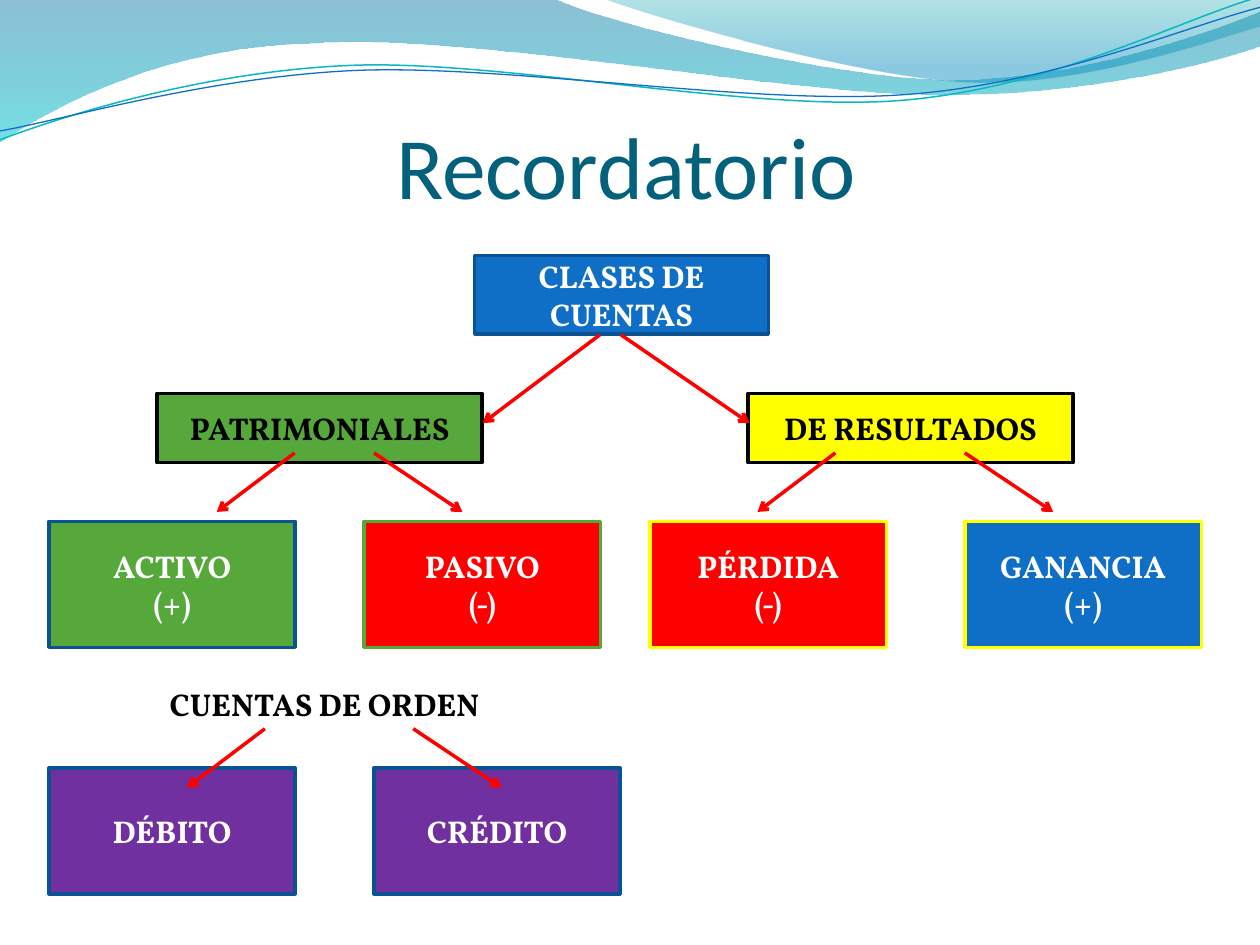
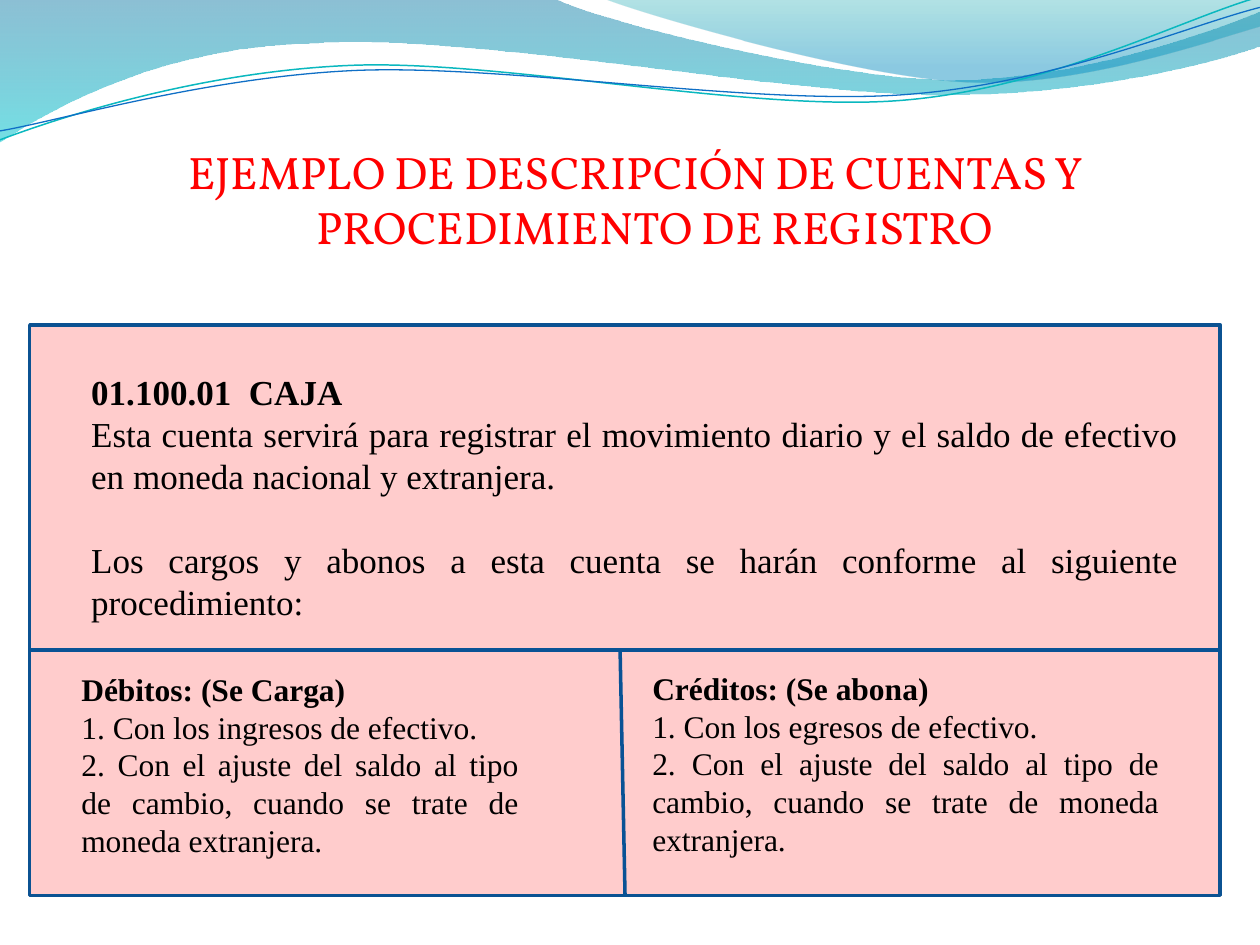
"""Build two slides on classes of accounts and how to record them."""
import lxml.etree
import pptx
import pptx.dml.color
import pptx.enum.shapes
import pptx.enum.text
import pptx.oxml.ns
import pptx.util

COLORS = {
    "title": "04617B", "blue": "0F6FC6", "navy": "0B5292", "divider": "095295",
    "green": "55A839", "yellow": "FFFF00", "red": "FF0000", "purple": "7030A0",
    "pink": "FFCCCC", "black": "000000", "white": "FFFFFF", "teal": "0AB8BF",
    "band_top": "0074A1", "band_bottom": "00C6CF",
    "crest_top": "00A1A9", "crest_bottom": "008BBF",
}
SERIF, CHART_FONT = "Times New Roman", "Vollkorn"
ALIGN = pptx.enum.text.PP_ALIGN
ANCHOR = pptx.enum.text.MSO_ANCHOR

BAND = [(0, 0), (11.18, -0.03), (12.09, 0.43, 16.87, 1.6, 19.25, 1.6),
        (21.67, 1.6, 24.33, 0.66, 25.4, 0.23), (25.43, 0.91),
        (24.97, 1.12, 22.1, 1.93, 18.95, 1.91), (15.8, 1.91, 9.7, 0.71, 6.53, 0.86),
        (3.28, 0.91, 1.17, 2.11, -0.03, 2.87)]
CREST = [(12.17, -0.03), (12.93, 0.28, 17.32, 1.57, 19.53, 1.65),
         (21.74, 1.75, 24.41, 0.81, 25.4, 0.53), (25.4, 0)]
TEAL_WAVE = [(0, 2.82), (1.22, 2.36, 4.01, 1.45, 7.04, 1.32),
             (10.03, 1.19, 15.06, 2.26, 18.11, 2.03), (21.16, 1.8, 23.83, 0.38, 25.35, -0.05)]
BLUE_WAVE = [(0, 2.64), (1.19, 2.44, 4.17, 1.55, 7.19, 1.42),
             (10.24, 1.3, 15.16, 2.13, 18.21, 1.91), (21.23, 1.7, 23.9, 0.53, 25.4, 0.15)]


def rgb(name):
    """Return the named colour."""
    return pptx.dml.color.RGBColor.from_string(COLORS[name])


def cm(*lengths):
    """Return the lengths converted from centimetres."""
    return [pptx.util.Cm(length) for length in lengths]


def add_xml(parent, tag, **attributes):
    """Append a child element with attributes."""
    return lxml.etree.SubElement(parent, pptx.oxml.ns.qn(tag), attributes)


def place(item, left, top, width, height):
    """Move and size a placeholder."""
    item.left, item.top, item.width, item.height = cm(left, top, width, height)


def write(frame, *texts, size=18, font=CHART_FONT, color="black", bold=True,
          lead_bold=False, align=ALIGN.CENTER):
    """Fill a text frame with paragraphs of one format and return them."""
    frame.text = "\n".join(texts)
    for number, paragraph in enumerate(frame.paragraphs):
        paragraph.alignment = align
        style = paragraph.runs[0].font
        style.name, style.size = font, pptx.util.Pt(size)
        style.bold = bold or (lead_bold and number == 0)
        style.color.rgb = rgb(color)
    return frame.paragraphs


def add_box(slide, place_cm, *texts, fill, edge="navy", color="white"):
    """Draw an outlined rectangle with centred text."""
    box = slide.shapes.add_shape(pptx.enum.shapes.MSO_SHAPE.RECTANGLE, *cm(*place_cm))
    box.shadow.inherit = False
    box.fill.solid()
    box.fill.fore_color.rgb = rgb(fill)
    box.line.color.rgb = rgb(edge)
    box.line.width = pptx.util.Pt(2)
    if texts:
        box.text_frame.vertical_anchor = ANCHOR.MIDDLE
        write(box.text_frame, *texts, color=color)


def add_text(slide, place_cm, *texts, wrap=True, **text_format):
    """Add a text box and return its paragraphs."""
    frame = slide.shapes.add_textbox(*cm(*place_cm)).text_frame
    frame.word_wrap = wrap
    return write(frame, *texts, **text_format)


def add_line(slide, ends, color, arrow=False):
    """Draw a straight line, with an arrowhead at its end if asked."""
    line = slide.shapes.add_connector(pptx.enum.shapes.MSO_CONNECTOR.STRAIGHT, *cm(*ends))
    line.line.color.rgb = rgb(color)
    line.line.width = pptx.util.Pt(2)
    properties = line.element.spPr
    if arrow:
        add_xml(properties.find(pptx.oxml.ns.qn("a:ln")), "a:tailEnd", type="arrow")
    add_xml(properties, "a:effectLst")


def add_fork(slide, left, right, top):
    """Draw a pair of arrows that spread downwards."""
    for start, spread in ((left, -1.57), (right, 1.78)):
        add_line(slide, (start, top, start + spread, top + 1.19), "red", arrow=True)


def add_outline(slide, outline, close):
    """Draw a freeform of straight and cubic segments without shadow."""
    nodes = [cm(*segment[-2:]) for segment in outline]
    builder = slide.shapes.build_freeform(*nodes[0], scale=1.0)
    builder.add_line_segments(nodes[1:], close=close)
    curve = builder.convert_to_shape()
    curve.shadow.inherit = False
    sides = list(curve.element.spPr.iter(pptx.oxml.ns.qn("a:lnTo")))
    for side, segment in zip(sides, outline[1:]):
        if len(segment) == 6:
            side.tag = pptx.oxml.ns.qn("a:cubicBezTo")
            end = side[0]
            for x, y in (cm(*segment[:2]), cm(*segment[2:4])):
                add_xml(side, "a:pt", x=str(x - curve.left), y=str(y - curve.top))
            side.append(end)
    return curve


def add_gradient_wave(slide, outline, stops):
    """Draw a filled wave whose stops are (position, colour, opacity)."""
    wave = add_outline(slide, outline, True)
    wave.line.fill.background()
    wave.fill.gradient()
    wave.fill.gradient_angle = 270
    for stop, (position, color, _) in zip(wave.fill.gradient_stops, stops):
        stop.position = position
        stop.color.rgb = rgb(color)
    tints = wave.element.spPr.iter(pptx.oxml.ns.qn("a:srgbClr"))
    for tint, (_, _, opacity) in zip(list(tints), stops):
        add_xml(tint, "a:alpha", val=str(opacity * 1000))
    return wave


def add_line_wave(slide, outline, color, width):
    """Draw an open wavy line."""
    wave = add_outline(slide, outline, False)
    wave.fill.background()
    wave.line.color.rgb = rgb(color)
    wave.line.width = pptx.util.Pt(width)
    return wave


def decorate_master(master, slide):
    """Draw the waves and move them behind everything on the master."""
    waves = [
        add_gradient_wave(slide, BAND, [(0, "band_top", 45), (1, "band_bottom", 55)]),
        add_gradient_wave(slide, CREST, [(0, "crest_top", 30), (0.8, "crest_bottom", 45)]),
        add_line_wave(slide, TEAL_WAVE, "teal", 0.85),
        add_line_wave(slide, BLUE_WAVE, "blue", 0.75),
    ]
    for number, wave in enumerate(waves):
        wave.element.nvSpPr.cNvPr.set("id", str(100 + number))
        master.element.cSld.spTree.insert(2 + number, wave.element)


def build_reminder(slide):
    """Fill the slide with the tree of account classes."""
    title = slide.shapes.title
    place(title, 1.19, 1.19, 22.86, 3.18)
    frame = title.text_frame
    frame.auto_size = pptx.enum.text.MSO_AUTO_SIZE.NONE
    frame.vertical_anchor = ANCHOR.BOTTOM
    frame.margin_left, frame.margin_top, frame.margin_right, frame.margin_bottom = cm(0, 0.13, 0, 0)
    write(frame, "Recordatorio", size=50, font="Calibri", color="title", bold=False)

    add_box(slide, (9.57, 5.15, 5.92, 1.59), "CLASES DE CUENTAS", fill="blue")
    for left, name, fill in ((3.17, "PATRIMONIALES", "green"), (15.08, "DE RESULTADOS", "yellow")):
        add_box(slide, (left, 7.93, 6.55, 1.4), name, fill=fill, edge="black", color="black")
    for left, width, name, sign, fill, edge in (
            (0.99, 4.96, "ACTIVO", "(+)", "green", "navy"),
            (7.34, 4.77, "PASIVO", "(-)", "red", "green"),
            (13.1, 4.77, "PÉRDIDA", "(-)", "red", "yellow"),
            (19.45, 4.77, "GANANCIA", "(+)", "blue", "yellow")):
        add_box(slide, (left, 10.51, width, 2.54), name, sign, fill=fill, edge=edge)
    add_text(slide, (3.17, 13.69, 6.99, 1.02), "CUENTAS DE ORDEN", wrap=False, align=ALIGN.LEFT)
    for left, name in ((0.99, "DÉBITO"), (7.54, "CRÉDITO")):
        add_box(slide, (left, 15.48, 4.96, 2.54), name, fill="purple")

    for ends in ((12.09, 6.75, 9.73, 8.53), (12.52, 6.75, 15.11, 8.53)):
        add_line(slide, ends, "red", arrow=True)
    for left, right, top in ((5.94, 7.54, 9.13), (16.84, 19.45, 9.13), (5.34, 8.33, 14.69)):
        add_fork(slide, left, right, top)


def build_example(slide):
    """Fill the slide with the sample account and its procedure."""
    title = slide.shapes.title.element
    title.getparent().remove(title)
    add_box(slide, (0.6, 6.55, 24, 11.5), fill="pink")
    heading = slide.placeholders[1]
    place(heading, 1.39, 2.78, 22.86, 2.77)
    heading.text_frame.auto_size = pptx.enum.text.MSO_AUTO_SIZE.NONE
    line = write(heading.text_frame, "EJEMPLO DE DESCRIPCIÓN DE CUENTAS Y PROCEDIMIENTO DE REGISTRO",
                 size=26, color="red", bold=False)[0]
    line.space_before = pptx.util.Pt(5.2)
    indent = pptx.util.Cm(0.76)
    properties = line._p.get_or_add_pPr()
    properties.set("marL", str(indent))
    properties.set("indent", str(-indent))
    add_xml(properties, "a:buNone")

    prose = {"font": SERIF, "bold": False, "lead_bold": True, "align": ALIGN.JUSTIFY}
    account = add_text(
        slide, (1.59, 7.34, 22.42, 5.38), "01.100.01  CAJA",
        "Esta cuenta servirá para registrar el movimiento diario y el saldo de efectivo "
        "en moneda nacional y extranjera.",
        "Los cargos y abonos a esta cuenta se harán conforme al siguiente procedimiento:",
        size=20, **prose)
    account[-1].space_before = pptx.util.Pt(24)
    for place_cm, name, flow in (
            ((1.39, 13.38, 9.32, 4.88), "Débitos: (Se Carga)", "ingresos"),
            ((12.9, 13.36, 10.72, 4.11), "Créditos: (Se abona)", "egresos")):
        add_text(slide, place_cm, name, f"1. Con los {flow} de efectivo.",
                 "2. Con el ajuste del saldo al tipo de cambio, cuando se trate de moneda extranjera.",
                 **prose)
    for ends in ((0.6, 13.1, 24.6, 13.1), (12.5, 13.1, 12.6, 18.05)):
        add_line(slide, ends, "divider")


def main():
    """Build and save the presentation."""
    deck = pptx.Presentation()
    deck.slide_width, deck.slide_height = cm(25.4, 19.05)
    reminder = deck.slides.add_slide(deck.slide_layouts[5])
    example = deck.slides.add_slide(deck.slide_layouts[1])
    decorate_master(deck.slide_master, reminder)
    build_reminder(reminder)
    build_example(example)
    deck.save("out.pptx")


main()
